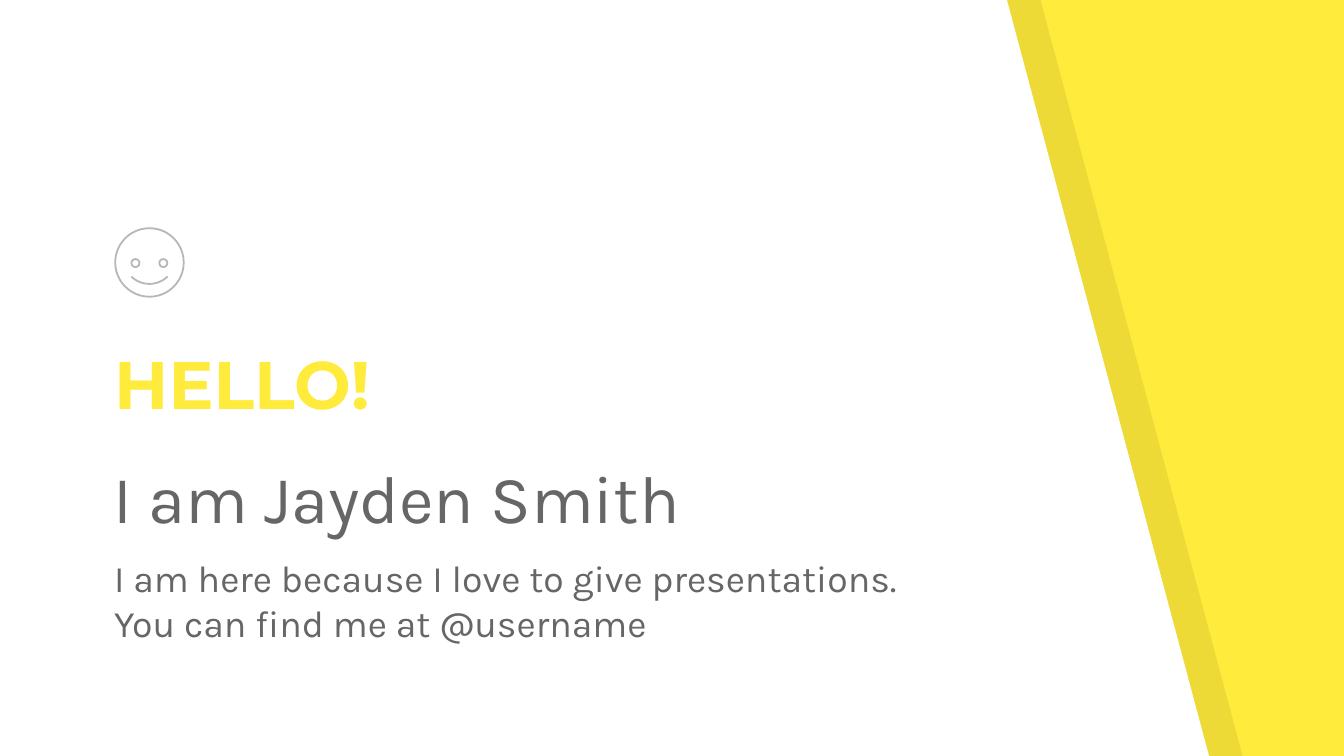
from math import asin, cos, pi, sin
from typing import NamedTuple

from lxml.etree import SubElement
from pptx import Presentation
from pptx.dml.color import RGBColor
from pptx.enum.shapes import MSO_SHAPE as Preset
from pptx.enum.text import MSO_ANCHOR as Anchor, MSO_AUTO_SIZE as Fit, PP_ALIGN as Align
from pptx.oxml.ns import qn
from pptx.util import Inches, Pt

COLORS = {"yellow": "FFEB3B", "white": "FFFFFF", "shade": "000000",
          "text": "666666", "line": "B7B7B7"}
CELL = Inches(0.1)  # square grid cell
COLS, ROWS = 100, 56.25


class Box(NamedTuple):
    col: float
    row: float
    wide: float
    high: float


class Label(NamedTuple):
    text: str
    box: Box
    size: int
    font: str
    color: str
    bold: bool = False
    anchor: Anchor = Anchor.TOP


class Panel(NamedTuple):
    left: float
    color: str
    alpha: int = 100


class Disc(NamedTuple):
    col: float  # centre
    row: float
    size: float


PANELS = [Panel(2.5, "shade", 7), Panel(0, "white")]
TITLE = Label("HELLO!", Box(7.5, 19.8, 49.6, 12.7), 36, "Montserrat", "yellow",
              True, Anchor.BOTTOM)
LABELS = [
    Label("I am Jayden Smith", Box(7.5, 32.95, 49.6, 8.6), 36, "Karla", "text"),
    Label("I am here because I love to give presentations. You can find me at @username",
          Box(7.5, 40.33, 61.5, 11), 20, "Karla", "text"),
]
MID = 11.12  # centre column of the smiley
DISCS = [Disc(MID, 19.53, 5.1), Disc(MID + 1.04, 19.58, 0.6), Disc(MID - 1.04, 19.58, 0.6)]


def cells(*counts: float) -> list[int]:
    return [round(count * CELL) for count in counts]


def paint(color: str) -> RGBColor:
    return RGBColor.from_string(COLORS[color])


def draw_path(slide, points: list, close: bool):
    spots = [cells(*point) for point in points]
    pen = slide.shapes.build_freeform(*spots[0], scale=1.0)
    pen.add_line_segments(spots[1:], close=close)
    shape = pen.convert_to_shape()
    shape.shadow.inherit = False
    return shape


def draw_panel(slide, panel: Panel) -> None:
    left = panel.left
    shape = draw_path(slide, [(left, -0.1), (left, ROWS + 0.15), (left + 90, ROWS + 0.15),
                              (left + 74.9, -0.1)], True)
    shape.line.fill.background()
    shape.fill.solid()
    shape.fill.fore_color.rgb = paint(panel.color)
    if panel.alpha < 100:
        tone = shape.fill._xPr.find(f".//{qn('a:srgbClr')}")
        SubElement(tone, qn("a:alpha")).set("val", str(panel.alpha * 1000))


def outline(shape) -> None:
    shape.shadow.inherit = False
    shape.fill.background()
    shape.line.color.rgb = paint("line")
    shape.line.width = Pt(0.96)


def draw_disc(slide, disc: Disc) -> None:
    half = disc.size / 2
    place = cells(disc.col - half, disc.row - half, disc.size, disc.size)
    outline(slide.shapes.add_shape(Preset.OVAL, *place))


def draw_smile(slide, half: float, sag: float, low: float, steps: int = 16) -> None:
    ray = (half ** 2 + sag ** 2) / (2 * sag)
    sweep = asin(half / ray)
    turns = [pi / 2 - sweep + 2 * sweep * step / steps for step in range(steps + 1)]
    points = [(MID + ray * cos(turn), low - ray + ray * sin(turn)) for turn in turns]
    outline(draw_path(slide, points, False))


def write(shape, label: Label) -> None:
    shape.left, shape.top, shape.width, shape.height = cells(*label.box)
    frame = shape.text_frame
    frame.text = label.text
    frame.word_wrap = True
    frame.auto_size = Fit.NONE
    frame.vertical_anchor = label.anchor
    frame.margin_left = frame.margin_right = CELL
    frame.margin_top = frame.margin_bottom = CELL
    line = frame.paragraphs[0]
    line.alignment = Align.LEFT
    font = line.runs[0].font
    font.name, font.size, font.bold = label.font, Pt(label.size), label.bold
    font.color.rgb = paint(label.color)


def main() -> None:
    deck = Presentation()
    deck.slide_width, deck.slide_height = cells(COLS, ROWS)
    slide = deck.slides.add_slide(deck.slide_layouts[5])

    # Backdrop
    slide.background.fill.solid()
    slide.background.fill.fore_color.rgb = paint("yellow")
    for panel in PANELS:
        draw_panel(slide, panel)

    # Title, moved in front of the panels
    title = slide.shapes.title
    slide.shapes._spTree.append(title._element)
    write(title, TITLE)

    # Text lines
    for label in LABELS:
        write(slide.shapes.add_textbox(*cells(*label.box)), label)

    # Smiley
    for disc in DISCS:
        draw_disc(slide, disc)
    draw_smile(slide, half=1.35, sag=0.55, low=21.13)

    deck.save("out.pptx")


if __name__ == "__main__":
    main()
